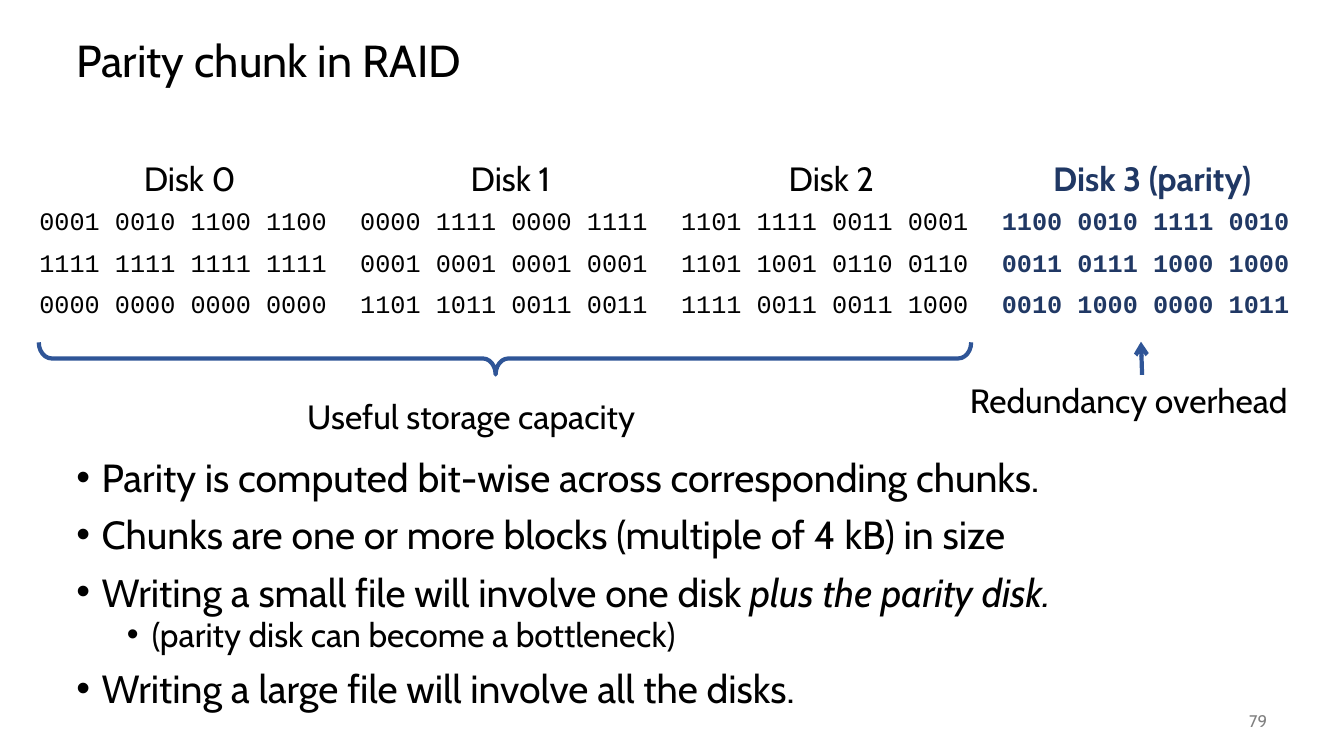
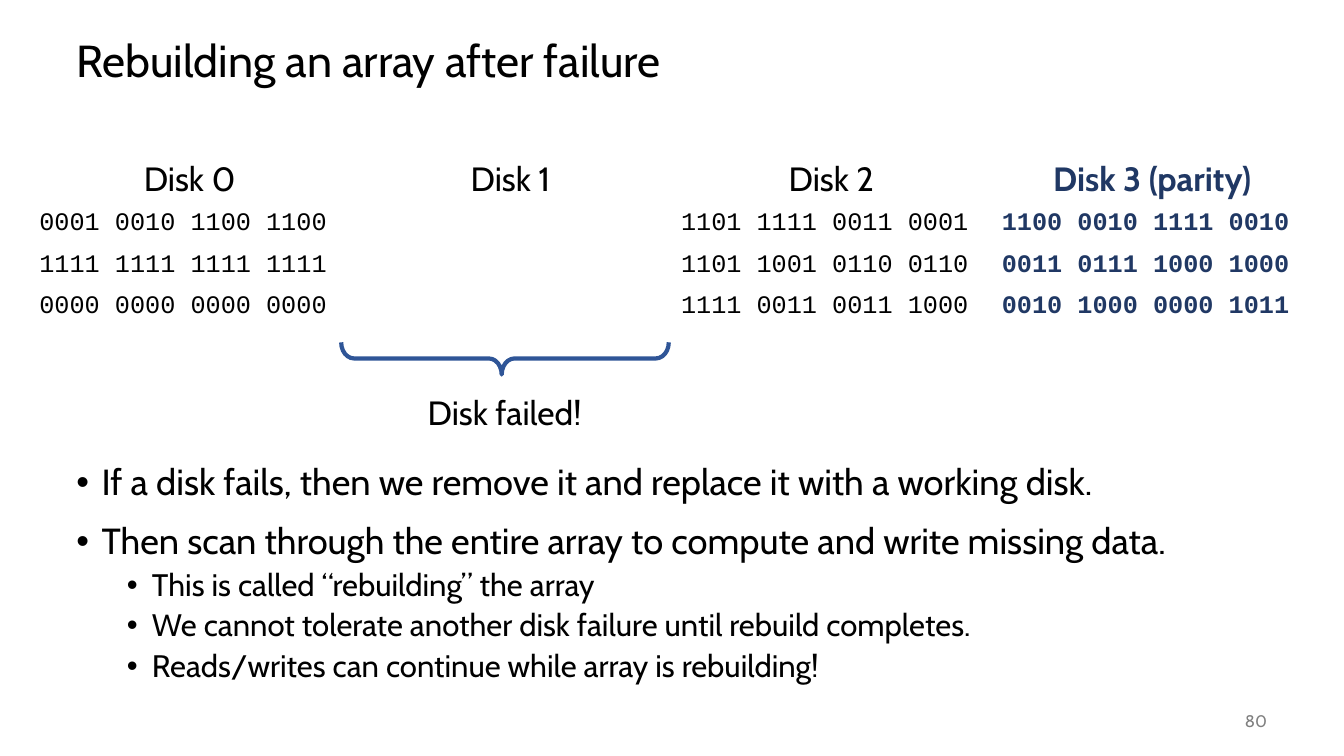
from lxml import etree
from pptx import Presentation
from pptx import util as u
from pptx.dml import color
from pptx.enum import shapes, text
from pptx.oxml import ns

Pt = u.Pt
SANS, MONO = "Cabin", "Courier New"
BLACK, NAVY, BLUE, GRAY = "000000", "203864", "2F5597", "808080"
LEFT, CENTER, RIGHT = text.PP_ALIGN.LEFT, text.PP_ALIGN.CENTER, text.PP_ALIGN.RIGHT
TOP, MIDDLE = text.MSO_ANCHOR.TOP, text.MSO_ANCHOR.MIDDLE

TABLE_LEFT, TABLE_TOP, COLUMN_WIDTH, ROW_HEIGHT = 20.9, 110.2, 229.2, 29.5
BRACE_X, BRACE_Y, BRACE_DEPTH = 360.7, 256, 23
DISKS = {
    "Disk 0": ["0001 0010 1100 1100", "1111 1111 1111 1111", "0000 0000 0000 0000"],
    "Disk 1": ["0000 1111 0000 1111", "0001 0001 0001 0001", "1101 1011 0011 0011"],
    "Disk 2": ["1101 1111 0011 0001", "1101 1001 0110 0110", "1111 0011 0011 1000"],
    "Disk 3 (parity)": ["1100 0010 1111 0010", "0011 0111 1000 1000", "0010 1000 0000 1011"],
}
PARITY = "Disk 3 (parity)"

SLIDES = [
    {
        "title": "Parity chunk in RAID",
        "number": "79",
        "failed": None,
        "brace_length": 666,
        "labels": [
            ("Useful storage capacity", 212.4, 279.4, 268, LEFT),
            ("Redundancy overhead", 658.8, 267.8, 268, RIGHT),
        ],
        "arrow": (815.8, 267.8, 815, 244.1),
        "body_top": 326.9,
        "line_spacing": 0.8,
        "sizes": (28, 24),
        "bullets": [
            (0, "Parity is computed bit-wise across corresponding chunks.", ""),
            (0, "Chunks are one or more blocks (multiple of 4 kB) in size", ""),
            (0, "Writing a small file will involve one disk ", "plus the parity disk."),
            (1, "(parity disk can become a bottleneck)", ""),
            (0, "Writing a large file will involve all the disks.", ""),
        ],
    },
    {
        "title": "Rebuilding an array after failure",
        "number": "80",
        "failed": "Disk 1",
        "brace_length": 234,
        "labels": [("Disk failed!", 243.4, 276.5, 234, CENTER)],
        "arrow": None,
        "body_top": 328.3,
        "line_spacing": 0.9,
        "sizes": (25.9, 22.2),
        "bullets": [
            (0, "If a disk fails, then we remove it and replace it with a working disk.", ""),
            (0, "Then scan through the entire array to compute and write missing data.", ""),
            (1, "This is called “rebuilding” the array", ""),
            (1, "We cannot tolerate another disk failure until rebuild completes.", ""),
            (1, "Reads/writes can continue while array is rebuilding!", ""),
        ],
    },
]


def style(font, size, hex_color=BLACK, name=SANS, bold=False):
    font.size = Pt(size)
    font.name = name
    font.bold = bold
    font.color.rgb = color.RGBColor.from_string(hex_color)


def add_text(page, words, left, top, width, height, size,
             hex_color=BLACK, align=LEFT, anchor=TOP):
    box = page.shapes.add_textbox(Pt(left), Pt(top), Pt(width), Pt(height))
    frame = box.text_frame
    frame.word_wrap = True
    frame.vertical_anchor = anchor
    frame.text = words
    para = frame.paragraphs[0]
    para.alignment = align
    for span in para.runs:
        style(span.font, size, hex_color)
    return frame


deck = Presentation()
deck.slide_width, deck.slide_height = Pt(960), Pt(540)

for content in SLIDES:
    page = deck.slides.add_slide(deck.slide_layouts[6])
    title = add_text(page, content["title"], 47.5, 18, 864, 54, 32, anchor=MIDDLE)
    title.paragraphs[0].line_spacing = 0.9

    body = add_text(page, "", 47.5, content["body_top"], 864, 196, 28)
    for index, (level, plain, emphasis) in enumerate(content["bullets"]):
        para = body.add_paragraph() if index else body.paragraphs[0]
        props = para._p.get_or_add_pPr()
        props.set("marL", str(Pt(54 if level else 18)))
        props.set("indent", str(Pt(-18)))
        etree.SubElement(props, ns.qn("a:buFont"), typeface="Arial")
        etree.SubElement(props, ns.qn("a:buChar"), char="•")
        para.level = level
        para.line_spacing = content["line_spacing"]
        if index:
            para.space_before = Pt(5 if level else 14)
        para.text = plain
        if emphasis:
            span = para.add_run()
            span.text = emphasis
            span.font.italic = True
        for span in para.runs:
            style(span.font, content["sizes"][level])

    table = page.shapes.add_table(
        4, len(DISKS), Pt(TABLE_LEFT), Pt(TABLE_TOP),
        Pt(COLUMN_WIDTH * len(DISKS)), Pt(ROW_HEIGHT * 4)).table
    table.first_row = table.horz_banding = False
    for column, (disk, chunks) in enumerate(DISKS.items()):
        if disk == content["failed"]:
            chunks = [""] * len(chunks)
        for row, words in enumerate([disk, *chunks]):
            cell = table.cell(row, column)
            cell.fill.background()
            cell.text = words
            para = cell.text_frame.paragraphs[0]
            para.alignment = LEFT if row else CENTER
            size, name = (18, MONO) if row else (24, SANS)
            shade = NAVY if disk == PARITY else BLACK
            for span in para.runs:
                style(span.font, size, shade, name, disk == PARITY)

    length = content["brace_length"]
    brace = page.shapes.add_shape(
        shapes.MSO_SHAPE.LEFT_BRACE,
        Pt(BRACE_X - BRACE_DEPTH / 2), Pt(BRACE_Y - length / 2),
        Pt(BRACE_DEPTH), Pt(length))
    brace.rotation = 270
    brace.adjustments[0], brace.adjustments[1] = 0.4, 0.49
    brace.shadow.inherit = False
    brace.fill.background()
    lines = [brace.line]

    if content["arrow"]:
        arrow = page.shapes.add_connector(
            shapes.MSO_CONNECTOR.STRAIGHT, *[Pt(value) for value in content["arrow"]])
        lines.append(arrow.line)
    for line in lines:
        line.color.rgb = color.RGBColor.from_string(BLUE)
        line.width = Pt(3)
    if content["arrow"]:
        etree.SubElement(arrow.line._get_or_add_ln(), ns.qn("a:tailEnd"), type="arrow")
        etree.SubElement(arrow._element.spPr, ns.qn("a:effectLst"))

    for words, left, top, width, align in content["labels"]:
        add_text(page, words, left, top, width, 36, 24, align=align)
    add_text(page, content["number"], 840.2, 500.4, 72, 28.8, 12, GRAY, RIGHT, MIDDLE)

deck.save("out.pptx")
